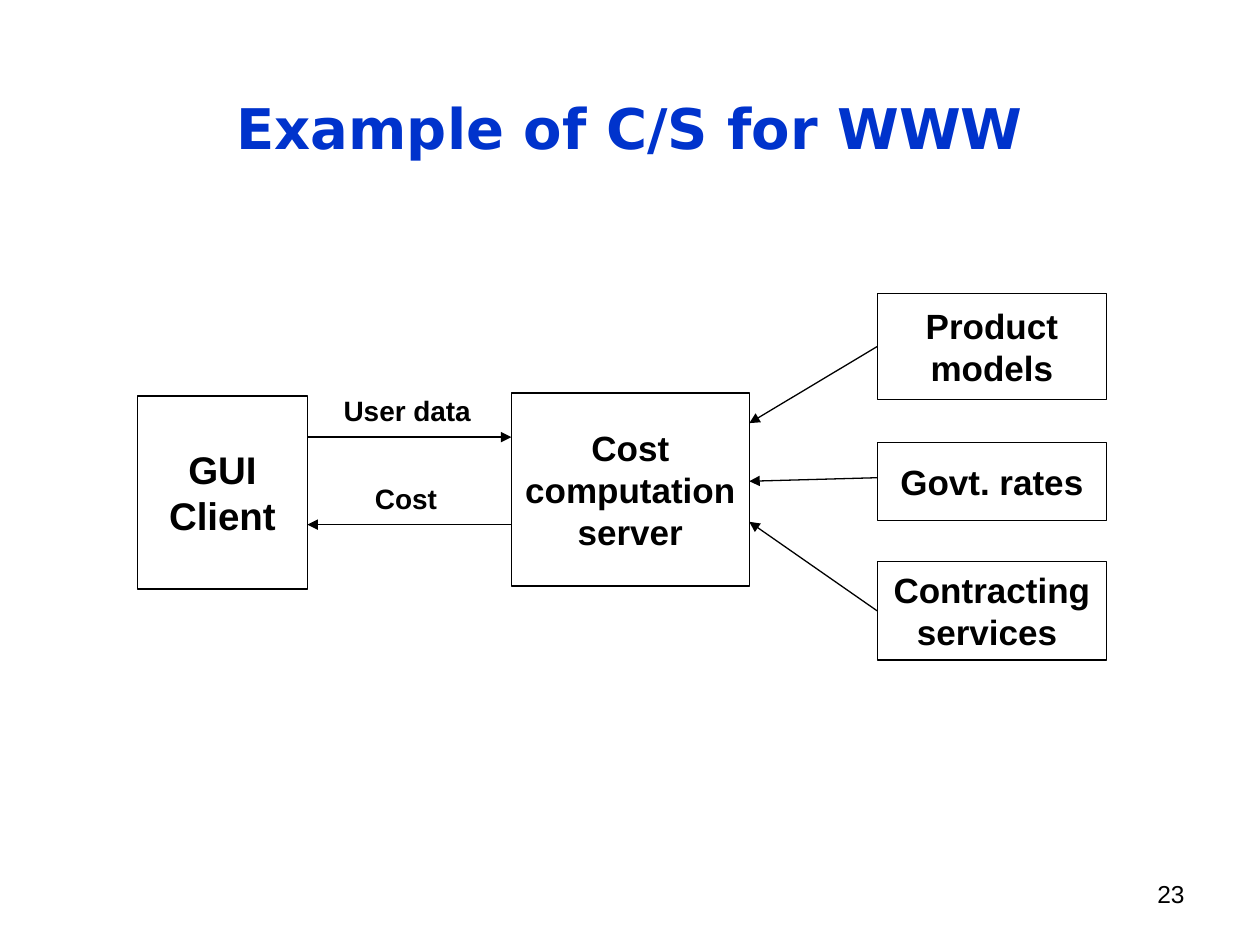
import pptx
import pptx.util
import pptx.dml.color
import pptx.enum.shapes
import pptx.enum.text
import pptx.oxml.ns
import lxml.etree

Pt = pptx.util.Pt
RGBColor = pptx.dml.color.RGBColor
Align = pptx.enum.text.PP_ALIGN
Anchor = pptx.enum.text.MSO_ANCHOR
qn = pptx.oxml.ns.qn

BLACK = RGBColor(0x00, 0x00, 0x00)
WHITE = RGBColor(0xFF, 0xFF, 0xFF)
BLUE = RGBColor(0x00, 0x33, 0xCC)


def write(frame, text, size, font="Arial", color=BLACK, bold=True,
          align=Align.CENTER, after=0):
    """Put one formatted run into a text frame."""
    para = frame.paragraphs[0]
    para.alignment = align
    para.space_after = Pt(after)
    run = para.add_run()
    run.text = text
    run.font.name = font
    run.font.size = Pt(size)
    run.font.bold = bold
    run.font.color.rgb = color


def add_title(slide, text):
    title = slide.shapes.title
    title.left, title.top = Pt(0), Pt(49.7)
    title.width, title.height = Pt(720), Pt(46)
    frame = title.text_frame
    frame.word_wrap = True
    frame.vertical_anchor = Anchor.TOP
    frame.auto_size = pptx.enum.text.MSO_AUTO_SIZE.SHAPE_TO_FIT_TEXT
    write(frame, text, 32, "DejaVu Sans", BLUE)


def add_box(slide, text, x, y, w, h, size=20):
    box = slide.shapes.add_shape(
        pptx.enum.shapes.MSO_SHAPE.RECTANGLE, Pt(x), Pt(y), Pt(w), Pt(h))
    box.shadow.inherit = False
    box.fill.solid()
    box.fill.fore_color.rgb = WHITE
    box.line.color.rgb = BLACK
    box.line.width = Pt(0.75)
    frame = box.text_frame
    frame.word_wrap = True
    frame.vertical_anchor = Anchor.MIDDLE
    write(frame, text, size, after=6)
    return box


def add_label(slide, text, x, y, w, h, size=16, wrap=False, **style):
    label = slide.shapes.add_textbox(Pt(x), Pt(y), Pt(w), Pt(h))
    label.text_frame.word_wrap = wrap
    write(label.text_frame, text, size, **style)


def add_arrow(slide, x1, y1, x2, y2):
    arrow = slide.shapes.add_connector(
        pptx.enum.shapes.MSO_CONNECTOR.STRAIGHT,
        Pt(x1), Pt(y1), Pt(x2), Pt(y2))
    arrow.line.color.rgb = BLACK
    arrow.line.width = Pt(0.75)
    props = arrow.line._get_or_add_ln()
    lxml.etree.SubElement(props, qn("a:tailEnd"), type="triangle")
    lxml.etree.SubElement(arrow._element.spPr, qn("a:effectLst"))
    return arrow


def main():
    deck = pptx.Presentation()
    deck.slide_width, deck.slide_height = Pt(720), Pt(540)
    slide = deck.slides.add_slide(deck.slide_layouts[5])
    add_title(slide, "Example of C/S for WWW")

    # Client and server
    add_box(slide, "GUI Client", 78.5, 226.2, 97.2, 110.4, size=22)
    add_box(slide, "Cost computation server", 292.2, 224.5, 136, 110.4)

    # Data sources
    left, right = 501.3, 428.2
    models = add_box(slide, "Product models", left, 167.8, 131, 60.4)
    add_box(slide, "Govt. rates", left, 252.8, 131, 44.6)
    services = add_box(slide, "Contracting services ", left, 321, 131, 56.2)

    # Arrows from the sources to the server
    add_arrow(slide, left, 198, right, 241.8).begin_connect(models, 1)
    add_arrow(slide, left, 273, right, 275)
    add_arrow(slide, left, 349, right, 298.2).begin_connect(services, 1)

    # Exchange between client and server
    add_arrow(slide, 175.7, 249.8, 292.2, 249.8)
    add_arrow(slide, 292.2, 299.8, 175.7, 299.8)
    add_label(slide, "User data", 189.2, 221.2, 87, 40, after=6)
    add_label(slide, "Cost", 203, 271.8, 58, 29.5)

    # Slide number
    add_label(slide, "23", 516, 499, 168, 37.5, size=14, wrap=True,
              bold=False, align=Align.RIGHT)

    deck.save("out.pptx")


if __name__ == "__main__":
    main()
